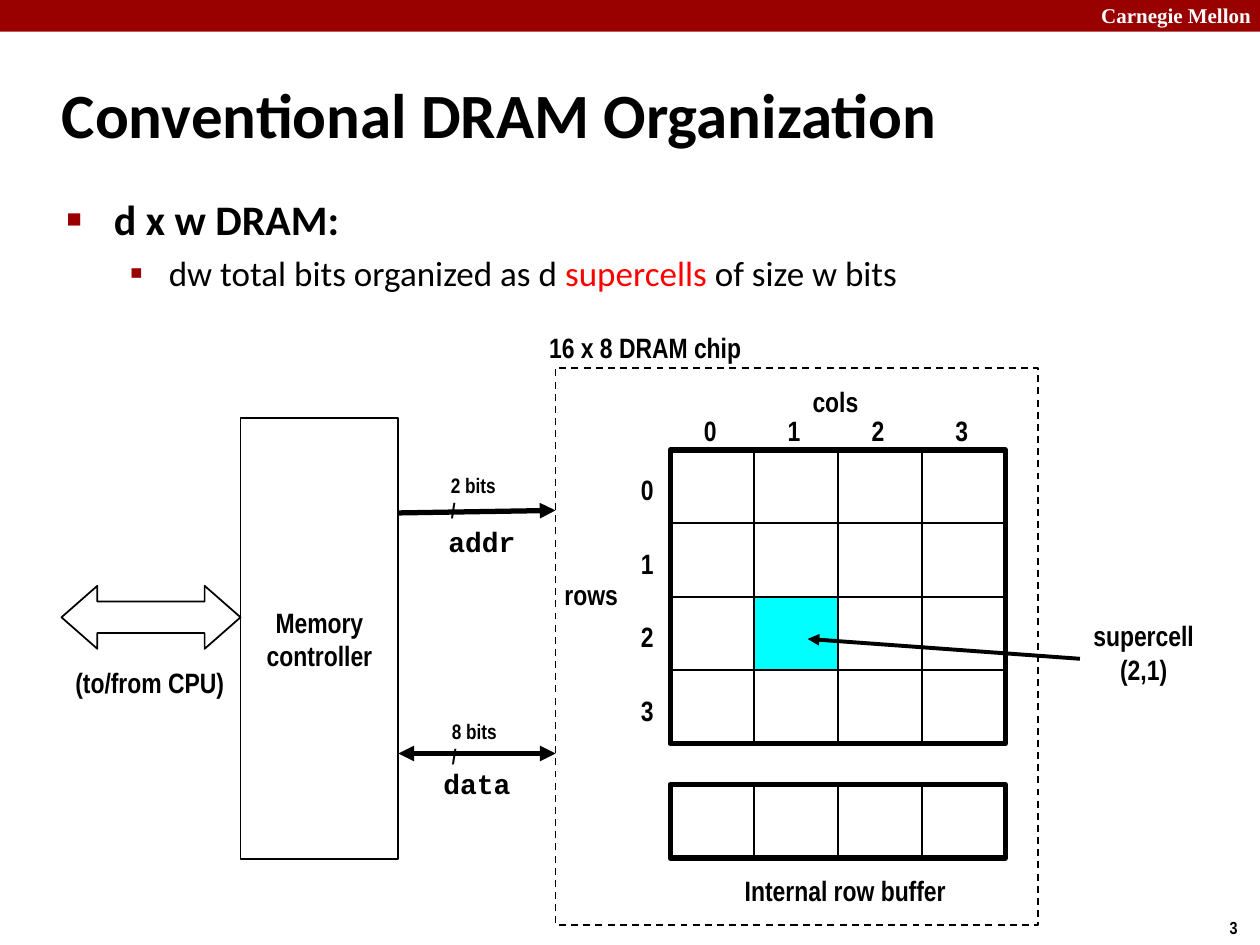
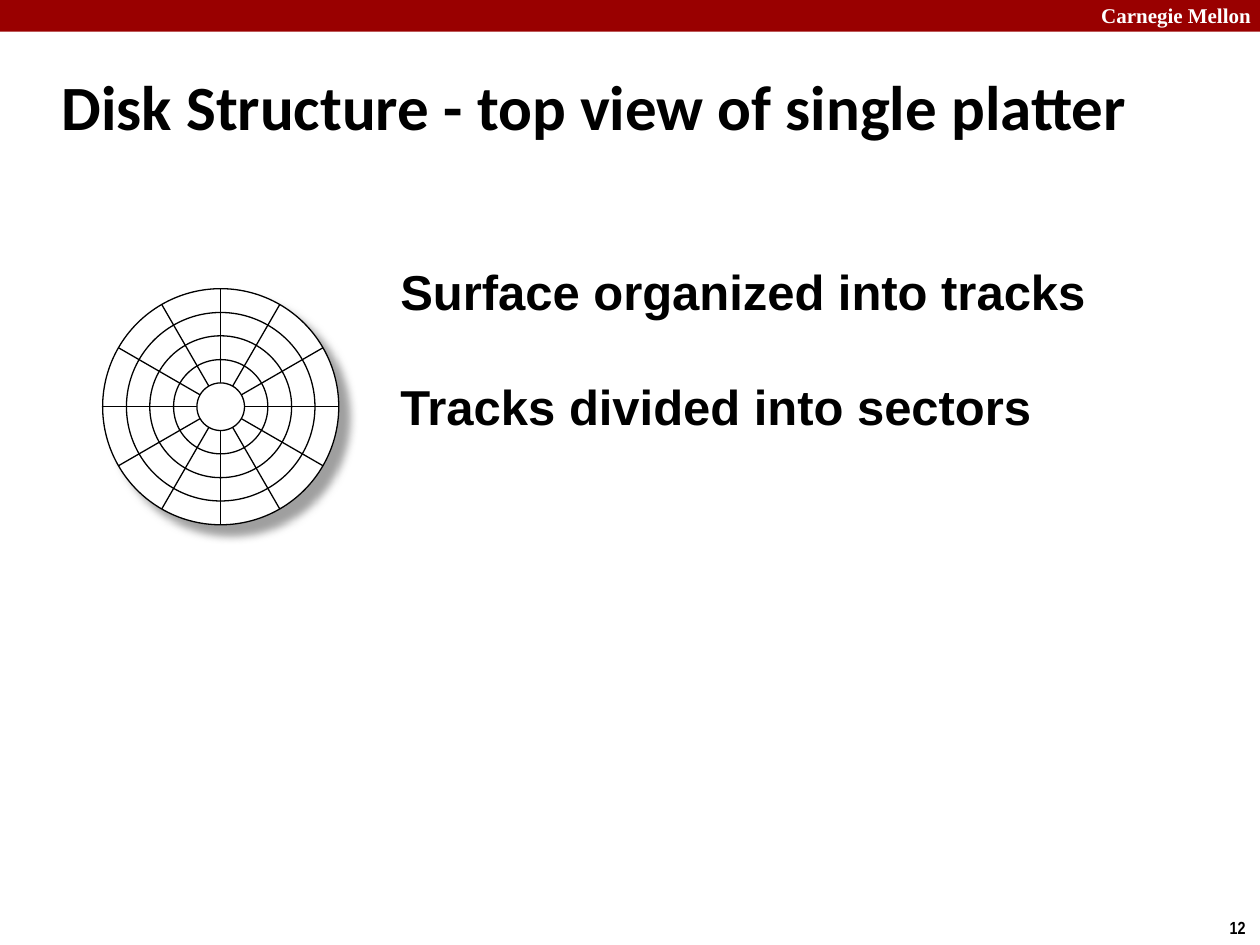
from dataclasses import dataclass
from math import cos, pi, sin

from lxml import etree
from pptx import Presentation
from pptx.dml.color import RGBColor
from pptx.enum.dml import MSO_LINE
from pptx.enum.shapes import MSO_CONNECTOR, MSO_SHAPE
from pptx.enum.text import MSO_ANCHOR, MSO_AUTO_SIZE, PP_ALIGN
from pptx.oxml.ns import qn
from pptx.util import Cm, Pt

RECT, OVAL, BUS_ARROW = MSO_SHAPE.RECTANGLE, MSO_SHAPE.OVAL, MSO_SHAPE.LEFT_RIGHT_ARROW
STRAIGHT, DASH = MSO_CONNECTOR.STRAIGHT, MSO_LINE.DASH
LEFT, CENTER = PP_ALIGN.LEFT, PP_ALIGN.CENTER
TOP, MIDDLE, BOTTOM = MSO_ANCHOR.TOP, MSO_ANCHOR.MIDDLE, MSO_ANCHOR.BOTTOM
FIT_TEXT, NO_FIT = MSO_AUTO_SIZE.SHAPE_TO_FIT_TEXT, MSO_AUTO_SIZE.NONE

MAROON = RGBColor(0x99, 0x00, 0x00)
BLACK = RGBColor(0x00, 0x00, 0x00)
WHITE = RGBColor(0xFF, 0xFF, 0xFF)
CYAN = RGBColor(0x00, 0xFF, 0xFF)
RED = RGBColor(0xFF, 0x00, 0x00)
SHADOW_GRAY = RGBColor(0x80, 0x80, 0x80)

HEADING_FONT = "Calibri"
LABEL_FONT = "Arial Narrow"
CODE_FONT = "Courier New"

SLIDE_WIDTH, SLIDE_HEIGHT = 25.4, 19.05
TITLE_ONLY, TITLE_AND_BODY = 5, 1


@dataclass(frozen=True)
class Label:
    text: str
    left: float
    top: float
    width: float
    height: float = 0.94
    size: float = 16
    font: str = LABEL_FONT
    color: RGBColor = BLACK
    align: PP_ALIGN = LEFT
    anchor: MSO_ANCHOR = MIDDLE
    wrap: bool = False


@dataclass(frozen=True)
class Arrow:
    start: tuple[float, float]
    end: tuple[float, float]
    weight: float
    head: bool = False
    tail: bool = True


@dataclass(frozen=True)
class Grid:
    left: float
    top: float
    rows: int
    columns: int = 4
    cell_width: float = 1.69
    cell_height: float = 1.48


MEMORY_ARRAY = Grid(13.51, 9.07, rows=4)
ROW_BUFFER = Grid(13.51, 15.82, rows=1)
SUPERCELL = (2, 1)

DRAM_LABELS = [
    Label("cols", 16.13, 7.62, 1.65),
    Label("rows", 11.13, 11.51, 1.85),
    Label("Internal row buffer", 14.73, 17.48, 4.62, align=CENTER),
    Label("16 x 8 DRAM chip", 10.82, 6.53, 5.26),
    Label("addr", 8.79, 10.44, 1.88, font=CODE_FONT),
    Label("data", 8.69, 15.32, 1.88, font=CODE_FONT),
    Label("supercell\n(2,1)", 21.77, 12.34, 2.57, 1.63, align=CENTER),
    Label("2 bits\n/", 8.84, 9.4, 1.63, 1.27, size=12),
    Label("8 bits\n/", 8.86, 14.35, 1.63, 1.27, size=12),
    Label("(to/from CPU)", 1.27, 13.28, 3.56),
]

DRAM_ARROWS = [
    Arrow((8.03, 10.34), (11.2, 10.29), 3),
    Arrow((8.03, 15.19), (11.2, 15.19), 3, head=True),
    Arrow((21.77, 13.28), (16.28, 12.88), 2.25),
]

DISK_CENTER = (4.45, 8.2)
DISK_RADIUS = 2.38
HUB_RADIUS = 0.48
TRACK_RADII = [1.9, 1.43, 0.95]
SPOKE_LINES = 6
DISK_NOTES = ["Surface organized into tracks", "Tracks divided into sectors"]


def write(paragraph, text: str, *, size: float, font: str = LABEL_FONT,
          color: RGBColor = BLACK, bold: bool = True, align: PP_ALIGN = LEFT) -> None:
    paragraph.alignment = align
    run = paragraph.add_run()
    run.text = text
    run.font.name = font
    run.font.size = Pt(size)
    run.font.bold = bold
    run.font.color.rgb = color


def write_lines(frame, text: str, **text_format) -> None:
    for index, line in enumerate(text.split("\n")):
        paragraph = frame.add_paragraph() if index else frame.paragraphs[0]
        write(paragraph, line, **text_format)


def place(placeholder, left: float, top: float, width: float, height: float) -> None:
    placeholder.left, placeholder.top = Cm(left), Cm(top)
    placeholder.width, placeholder.height = Cm(width), Cm(height)
    placeholder.text_frame.auto_size = NO_FIT


def add_label(slide, label: Label) -> None:
    box = slide.shapes.add_textbox(
        Cm(label.left), Cm(label.top), Cm(label.width), Cm(label.height))
    frame = box.text_frame
    frame.word_wrap = label.wrap
    frame.auto_size = NO_FIT if label.wrap else FIT_TEXT
    frame.vertical_anchor = label.anchor
    write_lines(frame, label.text, size=label.size, font=label.font,
                color=label.color, align=label.align)


def add_figure(slide, preset: MSO_SHAPE, left: float, top: float, width: float,
               height: float, fill: RGBColor | None = WHITE, weight: float = 1):
    figure = slide.shapes.add_shape(preset, Cm(left), Cm(top), Cm(width), Cm(height))
    figure.shadow.inherit = False
    if fill is None:
        figure.fill.background()
    else:
        figure.fill.solid()
        figure.fill.fore_color.rgb = fill
    if weight:
        figure.line.color.rgb = BLACK
        figure.line.width = Pt(weight)
    else:
        figure.line.fill.background()
    return figure


def add_circle(slide, radius: float, fill: RGBColor | None = None):
    x, y = DISK_CENTER
    return add_figure(slide, OVAL, x - radius, y - radius, 2 * radius, 2 * radius,
                      fill, 0.75)


def add_line(slide, arrow: Arrow) -> None:
    (x1, y1), (x2, y2) = arrow.start, arrow.end
    line = slide.shapes.add_connector(STRAIGHT, Cm(x1), Cm(y1), Cm(x2), Cm(y2))
    line.line.color.rgb = BLACK
    line.line.width = Pt(arrow.weight)
    properties = line._element.spPr
    outline = properties.find(qn("a:ln"))
    for shown, tag in ((arrow.head, "a:headEnd"), (arrow.tail, "a:tailEnd")):
        if shown:
            etree.SubElement(outline, qn(tag), type="triangle")
    etree.SubElement(properties, qn("a:effectLst"))


def add_bullet(paragraph, symbol: str, size_percent: int, margin: float, hanging: float) -> None:
    properties = paragraph._p.get_or_add_pPr()
    properties.set("marL", str(Cm(margin)))
    properties.set("indent", str(-Cm(hanging)))
    color = etree.SubElement(properties, qn("a:buClr"))
    etree.SubElement(color, qn("a:srgbClr"), val=str(MAROON))
    etree.SubElement(properties, qn("a:buSzPct"), val=str(size_percent * 1000))
    etree.SubElement(properties, qn("a:buFont"), typeface="Arial")
    etree.SubElement(properties, qn("a:buChar"), char=symbol)


def add_disk_shadow(disk) -> None:
    effects = disk._element.spPr.find(qn("a:effectLst"))
    shadow = etree.SubElement(
        effects, qn("a:outerShdw"), blurRad=str(Pt(5)), dist=str(Pt(8.5)),
        dir=str(45 * 60000), algn="ctr", rotWithShape="0")
    color = etree.SubElement(shadow, qn("a:srgbClr"), val=str(SHADOW_GRAY))
    etree.SubElement(color, qn("a:alpha"), val="75000")


def add_slide(deck, layout: int, title: str, page: int, title_top: float, title_width: float):
    slide = deck.slides.add_slide(deck.slide_layouts[layout])
    add_figure(slide, RECT, 0, 0, SLIDE_WIDTH, 0.64, MAROON, 0)
    add_label(slide, Label("Carnegie Mellon", 21.95, -0.08, 3.63, 0.76, size=12,
                           font="Times New Roman", color=WHITE, anchor=TOP, wrap=True))
    add_label(slide, Label(str(page), 24.54, 18.36, 0.86, 0.69, size=10, anchor=TOP))
    heading = slide.shapes.title
    place(heading, 0.99, title_top, title_width, 2.11)
    heading.text_frame.vertical_anchor = MIDDLE
    write_lines(heading.text_frame, title, size=36, font=HEADING_FONT)
    return slide


def add_grid(slide, grid: Grid, highlighted: tuple[int, int] | None = None) -> None:
    for row in range(grid.rows):
        for column in range(grid.columns):
            add_figure(slide, RECT, grid.left + column * grid.cell_width,
                       grid.top + row * grid.cell_height, grid.cell_width,
                       grid.cell_height, CYAN if (row, column) == highlighted else WHITE)
    add_figure(slide, RECT, grid.left, grid.top, grid.columns * grid.cell_width,
               grid.rows * grid.cell_height, None, 3)


def add_definition(slide) -> None:
    body = slide.placeholders[1]
    place(body, 1.09, 3.78, 21.95, 13.82)
    frame = body.text_frame
    term = frame.paragraphs[0]
    add_bullet(term, "■", 60, 0.95, 0.95)
    term.space_before = Pt(0)
    write(term, "d x w DRAM:", size=24, font=HEADING_FONT)
    meaning = frame.add_paragraph()
    meaning.level = 1
    add_bullet(meaning, "▪", 110, 2.06, 0.79)
    for text, color in (("dw total bits organized as d ", BLACK),
                        ("supercells", RED), (" of size w bits", BLACK)):
        write(meaning, text, size=20, font=HEADING_FONT, color=color, bold=False)


def build_dram_slide(deck) -> None:
    slide = add_slide(deck, TITLE_AND_BODY, "Conventional DRAM Organization", 3, 1.22, 21.08)
    add_definition(slide)

    add_grid(slide, MEMORY_ARRAY, SUPERCELL)
    add_grid(slide, ROW_BUFFER)
    for index in range(MEMORY_ARRAY.columns):
        column_left = MEMORY_ARRAY.left + index * MEMORY_ARRAY.cell_width + 0.43
        row_top = MEMORY_ARRAY.top + index * MEMORY_ARRAY.cell_height + 0.33
        add_label(slide, Label(str(index), column_left, 8.2, 0.81))
        add_label(slide, Label(str(index), 12.67, row_top, 0.81))

    chip = add_figure(slide, RECT, 11.2, 7.42, 9.73, 11.23, None)
    chip.line.dash_style = DASH
    controller = add_figure(slide, RECT, 4.85, 8.43, 3.18, 8.89)
    controller.text_frame.word_wrap = False
    controller.text_frame.vertical_anchor = MIDDLE
    write_lines(controller.text_frame, "Memory\ncontroller", size=16, align=CENTER)
    cpu_bus = add_figure(slide, BUS_ARROW, 1.24, 11.81, 3.61, 1.27)
    cpu_bus.adjustments[0] = 0.5
    cpu_bus.adjustments[1] = 0.57

    for arrow in DRAM_ARROWS:
        add_line(slide, arrow)
    for label in DRAM_LABELS:
        add_label(slide, label)


def build_disk_slide(deck) -> None:
    slide = add_slide(deck, TITLE_ONLY, "Disk Structure - top view of single platter",
                      12, 1.07, 23.57)
    add_disk_shadow(add_circle(slide, DISK_RADIUS, WHITE))
    x, y = DISK_CENTER
    for spoke in range(SPOKE_LINES):
        angle = spoke * pi / SPOKE_LINES
        dx, dy = DISK_RADIUS * cos(angle), DISK_RADIUS * sin(angle)
        add_line(slide, Arrow((x - dx, y - dy), (x + dx, y + dy), 0.75, tail=False))
    add_circle(slide, HUB_RADIUS, WHITE)
    for radius in TRACK_RADII:
        add_circle(slide, radius)
    for index, note in enumerate(DISK_NOTES):
        add_label(slide, Label(note, 7.82, 4.24 + index * 2.32, 15.88, 2.34, size=28,
                               font="Arial", anchor=BOTTOM, wrap=True))


def main() -> None:
    deck = Presentation()
    deck.slide_width, deck.slide_height = Cm(SLIDE_WIDTH), Cm(SLIDE_HEIGHT)
    build_dram_slide(deck)
    build_disk_slide(deck)
    deck.save("out.pptx")


if __name__ == "__main__":
    main()
